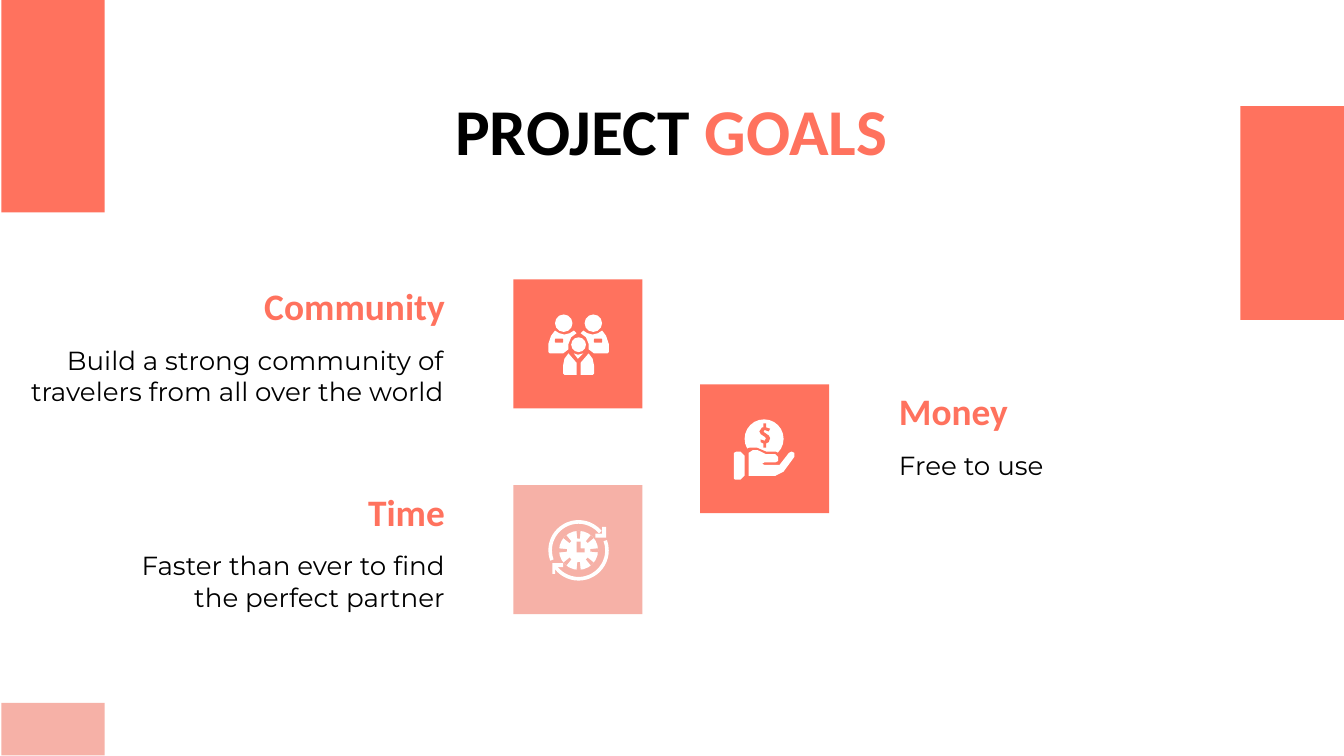
"""Build the Project Goals slide with three goals and their icons."""
from pptx import Presentation
from pptx.dml.color import RGBColor
from pptx.enum.shapes import MSO_SHAPE as Shape
from pptx.enum.text import MSO_ANCHOR as Anchor, PP_ALIGN as Align
from pptx.util import Inches, Pt

CORAL = RGBColor(0xFF, 0x72, 0x5E)
PALE = RGBColor(0xF6, 0xB1, 0xA7)
WHITE = RGBColor(0xFF, 0xFF, 0xFF)
BLACK = RGBColor(0x00, 0x00, 0x00)

deck = Presentation()
deck.slide_width = Inches(10)
deck.slide_height = deck.slide_width * 9 // 16
page = deck.slides.add_slide(deck.slide_layouts[6])


def paint(figure, color):
    figure.shadow.inherit = False
    figure.fill.solid()
    figure.fill.fore_color.rgb = color
    figure.line.fill.background()


def add_text(place, spans, size, font, bold, align, anchor):
    box = page.shapes.add_textbox(*map(Inches, place))
    frame = box.text_frame
    frame.word_wrap = True
    frame.vertical_anchor = anchor
    frame.margin_top = frame.margin_bottom = Inches(0.1)
    para = frame.paragraphs[0]
    para.alignment = align
    para.font.size, para.font.name, para.font.bold = Pt(size), font, bold
    for text, color in spans:
        span = para.add_run()
        span.text = text
        span.font.color.rgb = color


for place, color in [
    ((0.01, -0.01, 0.77, 1.59), CORAL),
    ((9.23, 0.79, 0.77, 1.59), CORAL),
    ((0.01, 5.23, 0.77, 0.39), PALE),
]:
    paint(page.shapes.add_shape(Shape.RECTANGLE, *map(Inches, place)), color)

add_text((0.65, 0.72, 8.69, 0.49), [("PROJECT ", BLACK), ("GOALS", CORAL)],
         35, "Calibri", True, Align.CENTER, Anchor.MIDDLE)

goals = [
    ("Community", "Build a strong community of travelers from all over the world",
     1.01, 0.12, 3.28, 2.05, Align.RIGHT, 3.82, CORAL),
    ("Time", "Faster than ever to find the perfect partner",
     1.01, 0.74, 2.67, 3.58, Align.RIGHT, 3.82, PALE),
    ("Money", "Free to use", 6.59, 6.59, 2.4, 2.83, Align.LEFT, 5.21, CORAL),
]
for name, detail, name_left, left, width, top, align, tile_left, color in goals:
    add_text((name_left, top, 2.4, 0.49), [(name, CORAL)],
             20, "Calibri", True, align, Anchor.BOTTOM)
    add_text((left, top + 0.41, width, 0.62), [(detail, BLACK)],
             14, "Montserrat", False, align, Anchor.TOP)
    place = (tile_left, top + 0.03, 0.96, 0.96)
    paint(page.shapes.add_shape(Shape.RECTANGLE, *map(Inches, place)), color)

heads = [(4.13, 2.34, 0.13), (4.35, 2.34, 0.13), (4.25, 2.51, 0.11)]
coin = (5.54, 3.12, 0.29)
clock_face = (4.16, 3.95, 0.29)
for left, top, size in [*heads, coin, clock_face]:
    place = (left, top, size, size)
    paint(page.shapes.add_shape(Shape.OVAL, *map(Inches, place)), WHITE)

left_person = [(4.13, 2.46), (4.16, 2.48), (4.2, 2.49), (4.24, 2.48), (4.27, 2.46),
               (4.29, 2.48), (4.25, 2.51), (4.23, 2.56), (4.23, 2.6), (4.19, 2.63),
               (4.09, 2.63), (4.08, 2.62), (4.08, 2.56), (4.1, 2.5)]
left_coat = [(4.23, 2.63), (4.29, 2.7), (4.29, 2.79), (4.2, 2.79), (4.19, 2.78),
             (4.19, 2.72), (4.2, 2.67)]
collar = [(4.27, 2.63), (4.3, 2.64), (4.34, 2.63), (4.3, 2.67)]
coin_gap = [(5.53, 3.35), (5.58, 3.33), (5.63, 3.33), (5.7, 3.36), (5.77, 3.36),
            (5.79, 3.37), (5.83, 3.42), (5.53, 3.42)]
sleeve = [(5.46, 3.37), (5.48, 3.36), (5.51, 3.36), (5.54, 3.39), (5.54, 3.54),
          (5.51, 3.57), (5.47, 3.57), (5.46, 3.56)]
palm = [(5.57, 3.37), (5.6, 3.35), (5.64, 3.35), (5.68, 3.37), (5.7, 3.38),
        (5.77, 3.38), (5.79, 3.4), (5.79, 3.43), (5.77, 3.44), (5.69, 3.44),
        (5.67, 3.45), (5.69, 3.46), (5.78, 3.46), (5.8, 3.46), (5.87, 3.37),
        (5.89, 3.36), (5.91, 3.37), (5.91, 3.4), (5.83, 3.51), (5.77, 3.54),
        (5.57, 3.54)]
dollar = [(5.68, 3.15), (5.7, 3.15), (5.7, 3.18), (5.73, 3.19), (5.72, 3.21),
          (5.69, 3.2), (5.68, 3.21), (5.69, 3.22), (5.72, 3.24), (5.73, 3.26),
          (5.72, 3.29), (5.7, 3.3), (5.7, 3.33), (5.68, 3.33), (5.68, 3.3),
          (5.66, 3.29), (5.66, 3.27), (5.69, 3.28), (5.7, 3.26), (5.69, 3.25),
          (5.66, 3.23), (5.65, 3.21), (5.67, 3.18), (5.68, 3.18)]
clock_hands = [(4.29, 4.03), (4.32, 4.03), (4.32, 4.08), (4.35, 4.08),
               (4.35, 4.11), (4.29, 4.11)]
top_arrow = [(4.48, 3.92), (4.51, 3.92), (4.51, 4), (4.43, 4), (4.43, 3.97),
             (4.48, 3.97)]
bottom_arrow = [(4.11, 4.19), (4.19, 4.19), (4.19, 4.22), (4.13, 4.22),
                (4.13, 4.27), (4.11, 4.27)]
right_person, right_coat = [
    [(8.61 - x, y) for x, y in outline] for outline in (left_person, left_coat)
]
for outline, color in [
    (left_person, WHITE), (right_person, WHITE), (left_coat, WHITE),
    (right_coat, WHITE), (collar, WHITE), (coin_gap, CORAL), (sleeve, WHITE),
    (palm, WHITE), (dollar, CORAL), (clock_hands, PALE), (top_arrow, WHITE),
    (bottom_arrow, WHITE),
]:
    points = [(Inches(x), Inches(y)) for x, y in outline]
    builder = page.shapes.build_freeform(*points[0])
    builder.add_line_segments(points[1:], close=True)
    paint(builder.convert_to_shape(), color)

for left in (4.13, 4.42):
    place = (left, 2.52, 0.06, 0.03)
    paint(page.shapes.add_shape(Shape.ROUNDED_RECTANGLE, *map(Inches, place)), CORAL)

clock_ring = (4.08, 3.87, 0.45, 0.45)
arcs = [(clock_ring, 340, 146, 0.06, 0, WHITE), (clock_ring, 160, 320, 0.06, 0, WHITE)]
for angle in range(0, 360, 45):
    arcs.append(((4.16, 3.95, 0.29, 0.29), 264, 276, 0.2, angle, PALE))
for place, start, end, thickness, angle, color in arcs:
    arc = page.shapes.add_shape(Shape.BLOCK_ARC, *map(Inches, place))
    arc.rotation = angle
    for index, value in enumerate((start * 0.6, end * 0.6, thickness)):
        arc.adjustments[index] = value
    paint(arc, color)

deck.save("out.pptx")
